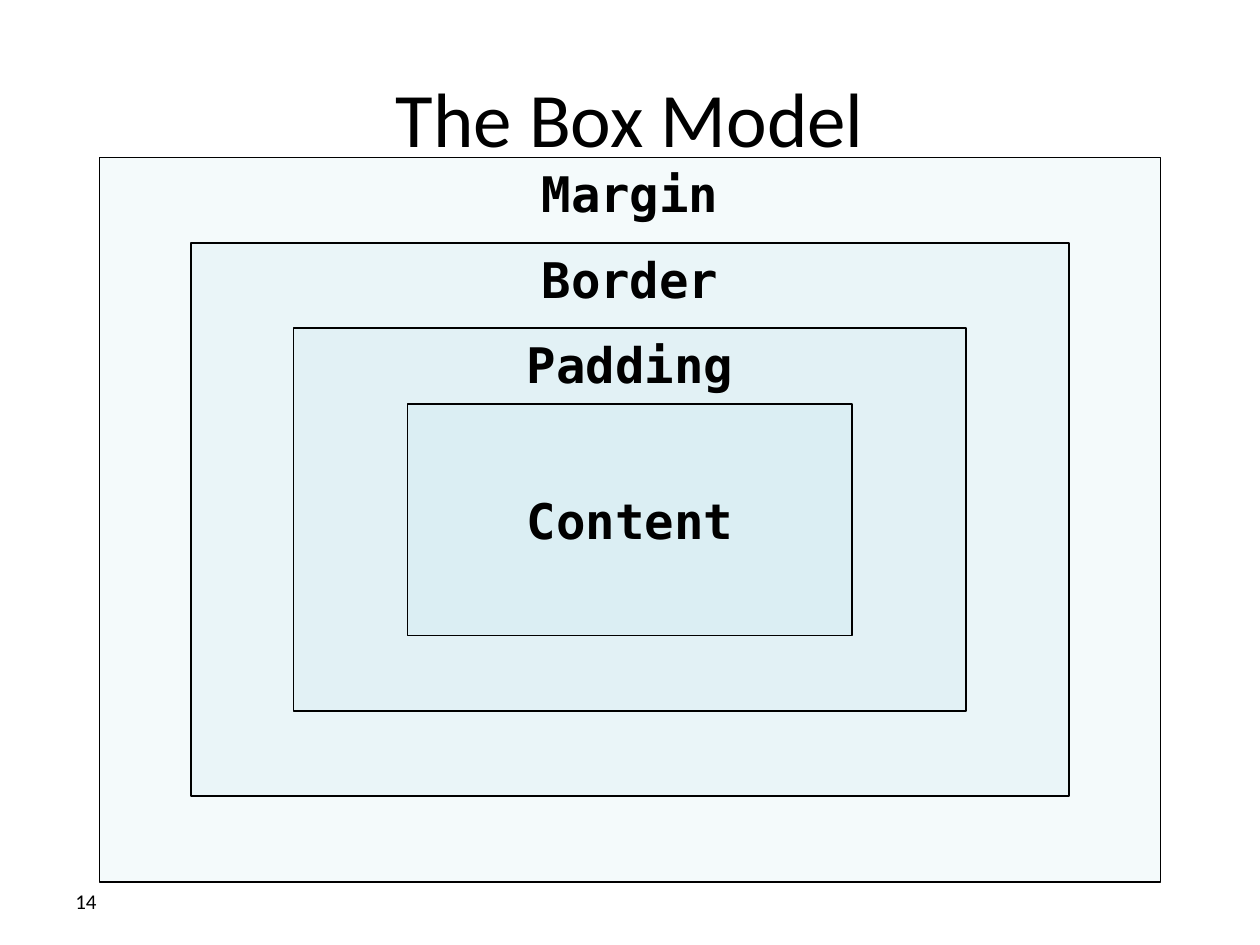
from lxml import etree
from pptx import Presentation
from pptx.dml.color import RGBColor
from pptx.enum.shapes import MSO_SHAPE
from pptx.enum.text import MSO_ANCHOR as ANCHOR, PP_ALIGN as ALIGN
from pptx.oxml.ns import qn
from pptx.util import Inches, Pt


def rgb(hex_color):
    return RGBColor.from_string(hex_color)


class BoxModelSlide:
    text_color = line_color = "000000"
    fill_color = "B7DEE8"
    opacity = 15
    text_font = "Calibri"
    label_font = "DejaVu Sans Mono"
    center_x, center_y = 5, 4.125

    def __init__(self, prs):
        self.s = prs.slides.add_slide(prs.slide_layouts[6])

    def set_text(self, sp, text, size, font, align, anchor, bold=False):
        tf = sp.text_frame
        tf.word_wrap = True
        tf.vertical_anchor = anchor
        p = tf.paragraphs[0]
        p.text = text
        p.alignment = align
        p.font.size = Pt(size)
        p.font.name = font
        p.font.bold = bold
        p.font.color.rgb = rgb(self.text_color)

    def text(self, text, x, y, w, h, size, align):
        sp = self.s.shapes.add_textbox(Inches(x), Inches(y), Inches(w), Inches(h))
        self.set_text(sp, text, size, self.text_font, align, ANCHOR.MIDDLE)

    def layer(self, label, w, h, anchor):
        """Add a translucent box around the common centre."""
        x, y = self.center_x - w / 2, self.center_y - h / 2
        sp = self.s.shapes.add_shape(
            MSO_SHAPE.RECTANGLE, Inches(x), Inches(y), Inches(w), Inches(h))
        sp.shadow.inherit = False
        sp.fill.solid()
        sp.fill.fore_color.rgb = rgb(self.fill_color)
        color = sp._element.spPr.find(qn("a:solidFill"))[0]
        etree.SubElement(color, qn("a:alpha"), val=str(self.opacity * 1000))
        sp.line.color.rgb = rgb(self.line_color)
        sp.line.width = Pt(1)
        self.set_text(sp, label, 28, self.label_font, ALIGN.CENTER, anchor, bold=True)


def main():
    prs = Presentation()
    prs.slide_width, prs.slide_height = Inches(10), Inches(7.5)
    slide = BoxModelSlide(prs)
    slide.text("The Box Model", 0.5, 0.3, 9, 1.25, 44, ALIGN.CENTER)
    slide.text("14", 0.5, 6.95, 2.33, 0.4, 12, ALIGN.LEFT)
    for label, w, h, anchor in (
        ("Margin", 8.42, 5.75, ANCHOR.TOP),
        ("Border", 6.97, 4.39, ANCHOR.TOP),
        ("Padding", 5.34, 3.04, ANCHOR.TOP),
        ("Content", 3.53, 1.84, ANCHOR.MIDDLE),
    ):
        slide.layer(label, w, h, anchor)
    prs.save("out.pptx")


if __name__ == "__main__":
    main()
